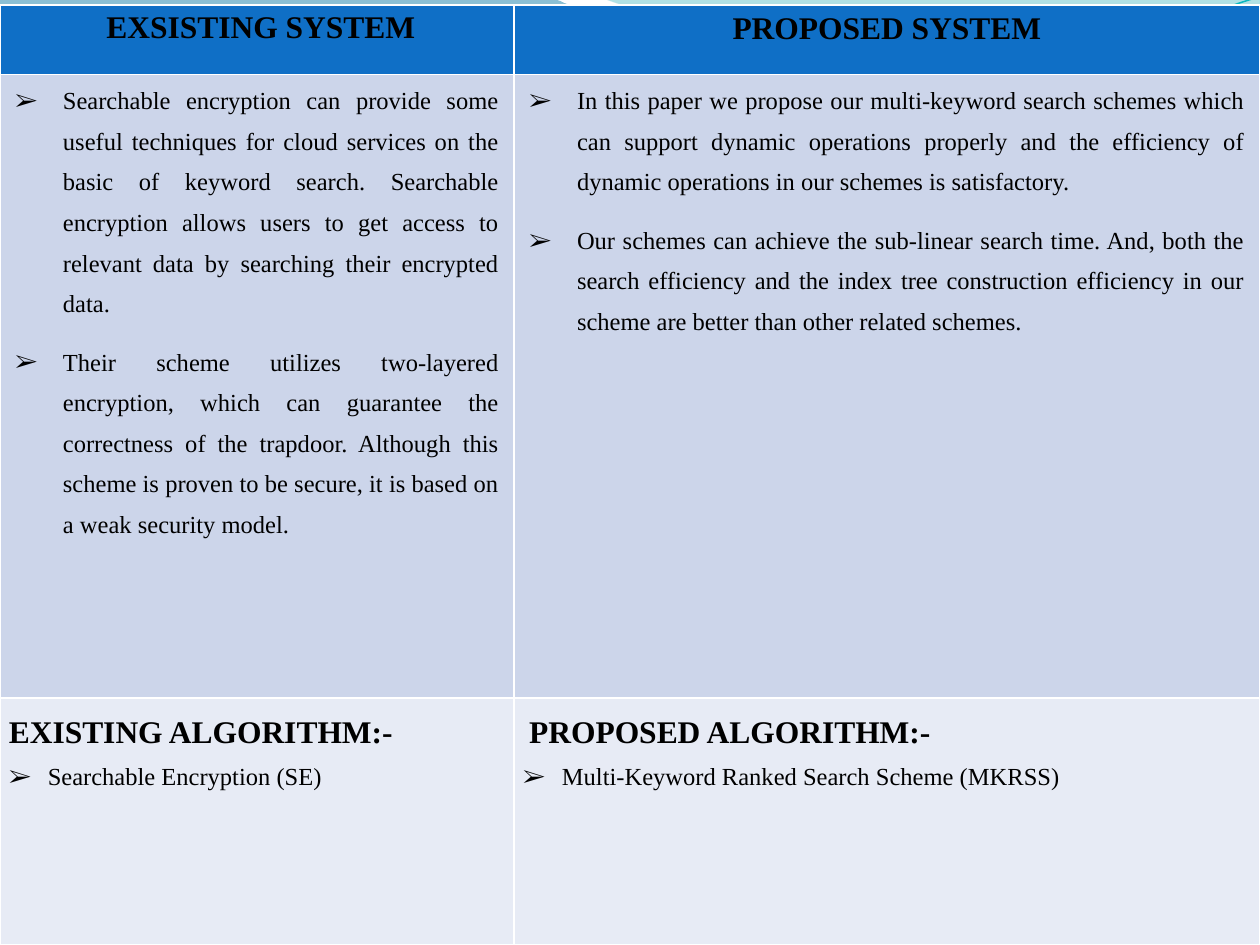
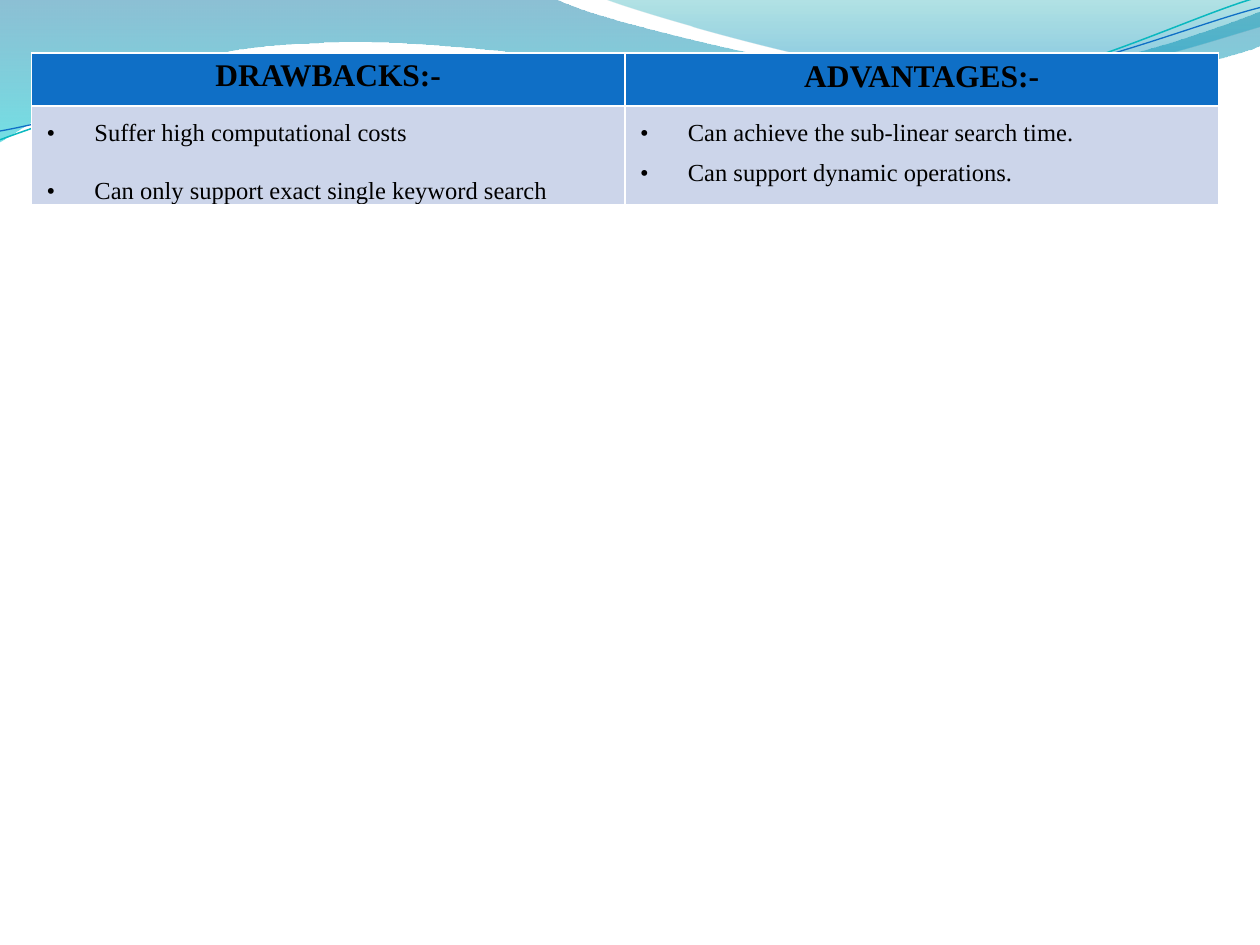
from dataclasses import dataclass
from typing import NamedTuple

import lxml.etree
import pptx
import pptx.dml.color
import pptx.enum.text
import pptx.oxml.ns
import pptx.util

Inches = pptx.util.Inches
Pt = pptx.util.Pt
RGBColor = pptx.dml.color.RGBColor
Align = pptx.enum.text.PP_ALIGN
qn = pptx.oxml.ns.qn


# Shared theme
@dataclass(frozen=True)
class Theme:
    font: str = "Times New Roman"
    heading_size: int = 18
    body_size: int = 14
    text: str = "000000"
    row_fills: tuple = ("0F6FC6", "CCD5EA", "E7EBF5")


THEME = Theme()


# Descriptions of the repeated elements
class Stop(NamedTuple):
    position: float
    color: str
    opacity: int


class Wave(NamedTuple):
    """Each segment is a flat tuple: one point for a line, three for a curve."""
    start: tuple
    segments: list
    stops: tuple = ()
    line_color: str = ""
    line_width: float = 0


class Line(NamedTuple):
    text: str
    heading: bool = False
    align: Align = Align.JUSTIFY
    spacing: float = 1.5
    after: int = 0
    bullet: str = ""
    indent: float = 0


class Cell(NamedTuple):
    lines: list
    side: float = 0.12
    top: float = 0


class Grid(NamedTuple):
    left: float
    top: float
    columns: tuple
    rows: tuple
    cells: list


WAVES = [
    Wave((0, 0), [
        (4.4, -0.01),
        (4.76, 0.17, 6.64, 0.63, 7.58, 0.63),
        (8.53, 0.63, 9.58, 0.26, 10, 0.09),
        (10.01, 0.36),
        (9.83, 0.44, 8.7, 0.76, 7.46, 0.75),
        (6.22, 0.75, 3.82, 0.28, 2.57, 0.34),
        (1.29, 0.36, 0.46, 0.83, -0.01, 1.13),
        (0, 0),
    ], stops=(Stop(0, "0074A1", 45), Stop(1, "00C6CF", 55))),
    Wave((4.79, -0.01), [
        (5.09, 0.11, 6.82, 0.62, 7.69, 0.65),
        (8.56, 0.69, 9.61, 0.32, 10, 0.21),
        (10, 0),
        (4.79, -0.01),
    ], stops=(Stop(0, "00A1A9", 30), Stop(0.8, "008BBF", 45))),
    Wave((0, 1.11), [
        (0.48, 0.93, 1.58, 0.57, 2.77, 0.52),
        (3.95, 0.47, 5.93, 0.89, 7.13, 0.8),
        (8.33, 0.71, 9.38, 0.15, 9.98, -0.02),
    ], line_color="0AB8BF", line_width=0.85),
    Wave((0, 1.04), [
        (0.47, 0.96, 1.64, 0.61, 2.83, 0.56),
        (4.03, 0.51, 5.97, 0.84, 7.17, 0.75),
        (8.36, 0.67, 9.41, 0.21, 10, 0.06),
    ], line_color="0F6FC6", line_width=0.75),
]


# Cell kinds
def header_pair(left: str, right: str, left_indent: float = 0) -> list[Cell]:
    return [
        Cell([Line(left, True, Align.CENTER, 1.15, 10, indent=left_indent)]),
        Cell([Line(right, True, Align.CENTER, 1)], side=0.1, top=0.05),
    ]


def bullet_cell(bullet: str, *texts: str, after: int = 10) -> Cell:
    return Cell([Line(text, after=after, bullet=bullet, indent=0.38) for text in texts])


def algorithm_cell(title: str, algorithm: str, title_indent: float = 0) -> Cell:
    return Cell([
        Line(title, True, indent=title_indent),
        Line(algorithm, bullet="➢", indent=0.31),
    ], side=0.07)


# Slide contents
SYSTEMS = Grid(0, 0.04, (4.08, 5.92), (0.55, 4.95, 1.96), [
    header_pair("EXSISTING SYSTEM", "PROPOSED SYSTEM", left_indent=0.06),
    [
        bullet_cell(
            "➢",
            "Searchable encryption can provide some useful techniques for cloud services "
            "on the basic of keyword search. Searchable encryption allows users to get "
            "access to relevant data by searching their encrypted data.",
            "Their scheme utilizes two-layered encryption, which can guarantee the "
            "correctness of the trapdoor. Although this scheme is proven to be secure, "
            "it is based on a weak security model."),
        bullet_cell(
            "➢",
            "In this paper we propose our multi-keyword search schemes which can support "
            "dynamic operations properly and the efficiency of dynamic operations in our "
            "schemes is satisfactory.",
            "Our schemes can achieve the sub-linear search time. And, both the search "
            "efficiency and the index tree construction efficiency in our scheme are "
            "better than other related schemes."),
    ],
    [
        algorithm_cell("EXISTING ALGORITHM:-", "Searchable Encryption (SE)"),
        algorithm_cell("PROPOSED ALGORITHM:-",
                       "Multi-Keyword Ranked Search Scheme (MKRSS)", title_indent=0.05),
    ],
])

OUTCOMES = Grid(0.25, 0.42, (4.71, 4.71), (0.42, 0.31), [
    header_pair("DRAWBACKS:-", "ADVANTAGES:-"),
    [
        bullet_cell("•", "Suffer high computational costs",
                    "Can only support exact single keyword search"),
        bullet_cell("•", "Can achieve the sub-linear search time.",
                    "Can support dynamic operations.", after=0),
    ],
])


def apply_format(target: object, values: dict) -> None:
    for name, value in values.items():
        setattr(target, name, value)


# Wave band
def bend_segments(shape: object, wave: Wave) -> None:
    """Turn the straight steps of a freeform into curves where the wave has them."""
    steps = list(shape._element.iter(qn("a:lnTo")))
    for step, segment in zip(steps, wave.segments):
        if len(segment) == 2:
            continue
        curve = lxml.etree.Element(qn("a:cubicBezTo"))
        for x, y in zip(segment[::2], segment[1::2]):
            lxml.etree.SubElement(curve, qn("a:pt"), x=str(Inches(x) - shape.left),
                                  y=str(Inches(y) - shape.top))
        step.getparent().replace(step, curve)


def fill_wave(shape: object, stops: tuple) -> None:
    shape.line.fill.background()
    shape.fill.gradient()
    shape.fill.gradient_angle = 270
    for gradient_stop, stop in zip(shape.fill.gradient_stops, stops):
        gradient_stop.color.rgb = RGBColor.from_string(stop.color)
        gradient_stop.position = stop.position
    colors = shape._element.spPr.iter(qn("a:srgbClr"))
    for color, stop in zip(colors, stops):
        lxml.etree.SubElement(color, qn("a:alpha"), val=str(stop.opacity * 1000))


def draw_wave(slide: object, wave: Wave) -> None:
    """Draw a wave and hand it to the layout, so that every slide shows it."""
    builder = slide.shapes.build_freeform(*map(Inches, wave.start))
    ends = [tuple(map(Inches, segment[-2:])) for segment in wave.segments]
    builder.add_line_segments(ends, close=bool(wave.stops))
    shape = builder.convert_to_shape()
    shape.shadow.inherit = False
    bend_segments(shape, wave)
    if wave.stops:
        fill_wave(shape, wave.stops)
    else:
        shape.fill.background()
        shape.line.color.rgb = RGBColor.from_string(wave.line_color)
        shape.line.width = Pt(wave.line_width)
    slide.slide_layout.shapes._spTree.append(shape._element)


# Table
def write_line(paragraph: object, line: Line) -> None:
    properties = paragraph._p.get_or_add_pPr()
    properties.set("marL", str(Inches(line.indent)))
    if line.bullet:
        properties.set("indent", str(-Inches(line.indent)))
        lxml.etree.SubElement(properties, qn("a:buFont"), typeface=THEME.font)
        lxml.etree.SubElement(properties, qn("a:buChar"), char=line.bullet)
    apply_format(paragraph, {
        "alignment": line.align,
        "line_spacing": line.spacing,
        "space_after": Pt(line.after),
    })
    run = paragraph.add_run()
    run.text = line.text
    apply_format(run.font, {
        "name": THEME.font,
        "size": Pt(THEME.heading_size if line.heading else THEME.body_size),
        "bold": line.heading,
    })
    run.font.color.rgb = RGBColor.from_string(THEME.text)


def fill_cell(table_cell: object, cell: Cell, color: str) -> None:
    apply_format(table_cell, {
        "margin_left": Inches(cell.side),
        "margin_right": Inches(cell.side),
        "margin_top": Inches(cell.top),
        "margin_bottom": Inches(cell.top),
    })
    table_cell.fill.solid()
    table_cell.fill.fore_color.rgb = RGBColor.from_string(color)
    frame = table_cell.text_frame
    for index, line in enumerate(cell.lines):
        write_line(frame.add_paragraph() if index else frame.paragraphs[0], line)


def draw_grid(slide: object, grid: Grid) -> None:
    # The white rules between cells come from the default table style
    table = slide.shapes.add_table(
        len(grid.rows), len(grid.columns), Inches(grid.left), Inches(grid.top),
        Inches(sum(grid.columns)), Inches(sum(grid.rows))).table
    for column, width in zip(table.columns, grid.columns):
        column.width = Inches(width)
    for row, height in enumerate(grid.rows):
        table.rows[row].height = Inches(height)
        for column, cell in enumerate(grid.cells[row]):
            fill_cell(table.cell(row, column), cell, THEME.row_fills[row])


def main() -> None:
    presentation = pptx.Presentation()
    apply_format(presentation, {"slide_width": Inches(10), "slide_height": Inches(7.5)})
    blank = presentation.slide_layouts[6]
    slides = [presentation.slides.add_slide(blank) for _ in range(2)]
    for wave in WAVES:
        draw_wave(slides[0], wave)
    for slide, grid in zip(slides, (SYSTEMS, OUTCOMES)):
        draw_grid(slide, grid)
    presentation.save("out.pptx")


if __name__ == "__main__":
    main()
